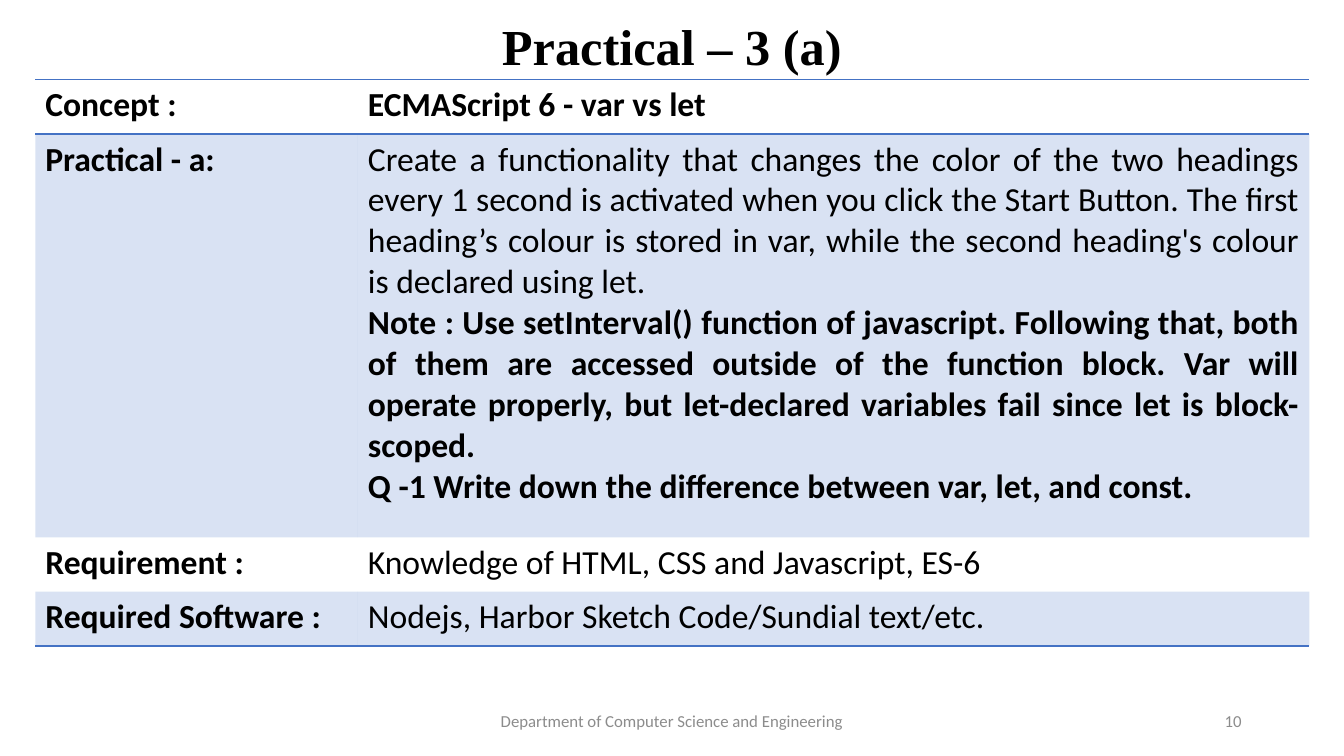
from dataclasses import dataclass

from lxml import etree
from pptx import Presentation
from pptx.dml.color import RGBColor
from pptx.enum.text import MSO_ANCHOR, PP_ALIGN
from pptx.oxml.ns import qn
from pptx.util import Pt

CENTER, RIGHT, JUSTIFY = PP_ALIGN.CENTER, PP_ALIGN.RIGHT, PP_ALIGN.JUSTIFY
MIDDLE = MSO_ANCHOR.MIDDLE
COLORS = {"text": "000000", "footer": "8C8C8C", "accent": "4472C4", "paper": "FFFFFF"}
NO_STYLE = "{2D5ABB26-0587-4C30-8999-92F81FD0307C}"
BAND_ALPHA = 20
COLUMN_WIDTHS = (230.4, 679.68)


@dataclass(frozen=True)
class Line:
    text: str
    bold: bool = False


@dataclass(frozen=True)
class Row:
    label: str
    lines: tuple[Line, ...]
    height: float = 38.88
    banded: bool = False
    borders: tuple[str, ...] = ()


@dataclass(frozen=True)
class Footer:
    text: str
    left: float
    width: float
    align: PP_ALIGN


ROWS = (
    Row("Concept :", (Line("ECMAScript 6 - var vs let", True),), borders=("lnT", "lnB")),
    Row(
        "Practical - a:",
        (
            Line(
                "Create a functionality that changes the color of the two headings every "
                "1 second is activated when you click the Start Button. The first heading’s "
                "colour is stored in var, while the second heading's colour is declared "
                "using let. "
            ),
            Line(
                "Note : Use setInterval() function of javascript. Following that, both of "
                "them are accessed outside of the function block. Var will operate "
                "properly, but let-declared variables fail since let is block-scoped. ",
                True,
            ),
            Line("Q -1 Write down the difference between var, let, and const.", True),
        ),
        height=288,
        banded=True,
    ),
    Row("Requirement :", (Line("Knowledge of HTML, CSS and Javascript, ES-6"),)),
    Row(
        "Required Software :",
        (Line("Nodejs, Harbor Sketch Code/Sundial text/etc."),),
        banded=True,
        borders=("lnB",),
    ),
)
FOOTERS = (
    Footer("Department of Computer Science and Engineering", 318, 324, CENTER),
    Footer("10", 678, 216, RIGHT),
)


def write(p, text: str, *, size: float, align: PP_ALIGN, bold: bool = False,
          font: str = "Calibri", color: str = "text") -> None:
    p.alignment = align
    r = p.add_run()
    r.text = text
    r.font.size = Pt(size)
    r.font.name = font
    r.font.bold = bold
    r.font.color.rgb = RGBColor.from_string(COLORS[color])


def add_title(s, text: str) -> None:
    sp = s.shapes.title
    sp.left, sp.top, sp.width, sp.height = Pt(66), Pt(0), Pt(828), Pt(70.5)
    tf = sp.text_frame
    tf.vertical_anchor = MIDDLE
    p = tf.paragraphs[0]
    p.line_spacing = 0.9
    write(p, text, size=36, align=CENTER, bold=True, font="Times New Roman")


def add_footer(s, footer: Footer) -> None:
    sp = s.shapes.add_textbox(Pt(footer.left), Pt(500.5), Pt(footer.width), Pt(28.75))
    tf = sp.text_frame
    tf.word_wrap = True
    tf.vertical_anchor = MIDDLE
    write(tf.paragraphs[0], footer.text, size=12, align=footer.align, color="footer")


def format_cell(cell, row: Row) -> None:
    tc_pr = cell._tc.get_or_add_tcPr()
    for side in row.borders:
        ln = etree.SubElement(tc_pr, qn(f"a:{side}"), w=str(Pt(1)))
        fill = etree.SubElement(ln, qn("a:solidFill"))
        etree.SubElement(fill, qn("a:srgbClr"), val=COLORS["accent"])
    if not row.banded:
        cell.fill.background()
        return
    cell.fill.solid()
    cell.fill.fore_color.rgb = RGBColor.from_string(COLORS["accent"])
    color = tc_pr.find(qn("a:solidFill")).find(qn("a:srgbClr"))
    etree.SubElement(color, qn("a:alpha"), val=str(BAND_ALPHA * 1000))


def add_practical_table(s, rows: tuple[Row, ...]) -> None:
    height = sum(row.height for row in rows)
    frame = s.shapes.add_table(len(rows), len(COLUMN_WIDTHS), Pt(25.2), Pt(56.9),
                               Pt(sum(COLUMN_WIDTHS)), Pt(height))
    table = frame.table
    table.first_row = table.horz_banding = False
    table._tbl.tblPr.find(qn("a:tableStyleId")).text = NO_STYLE
    for column, width in zip(table.columns, COLUMN_WIDTHS):
        column.width = Pt(width)
    for i, row in enumerate(rows):
        table.rows[i].height = Pt(row.height)
        for j, lines in enumerate(((Line(row.label, True),), row.lines)):
            cell = table.cell(i, j)
            format_cell(cell, row)
            tf = cell.text_frame
            for k, line in enumerate(lines):
                p = tf.add_paragraph() if k else tf.paragraphs[0]
                write(p, line.text, size=24, align=JUSTIFY, bold=line.bold)


def main() -> None:
    prs = Presentation()
    prs.slide_width, prs.slide_height = Pt(960), Pt(540)
    s = prs.slides.add_slide(prs.slide_layouts[5])
    s.background.fill.solid()
    s.background.fill.fore_color.rgb = RGBColor.from_string(COLORS["paper"])
    add_title(s, "Practical – 3 (a)")
    for footer in FOOTERS:
        add_footer(s, footer)
    add_practical_table(s, ROWS)
    prs.save("out.pptx")


if __name__ == "__main__":
    main()
